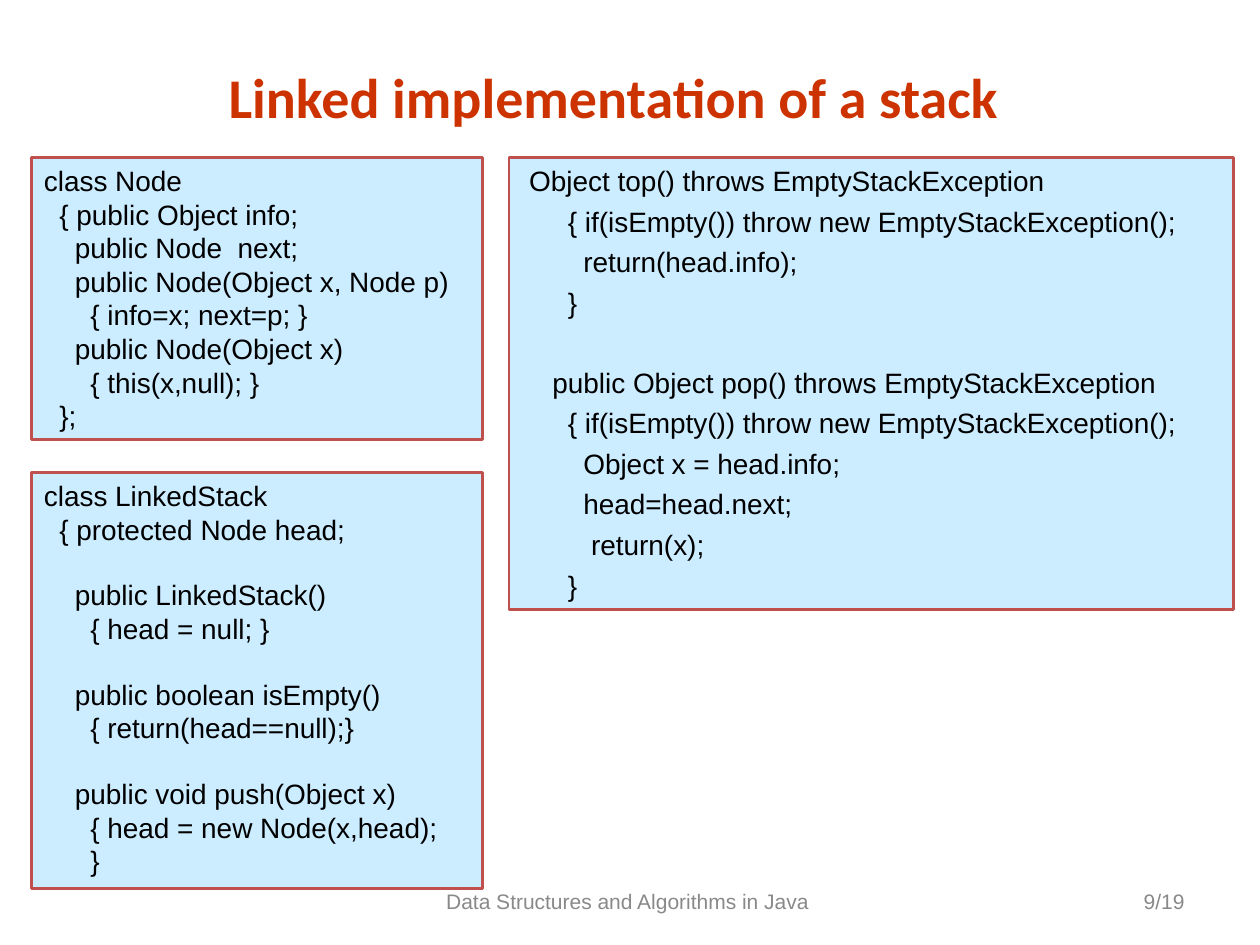
from pptx import Presentation
from pptx.dml.color import RGBColor
from pptx.enum.shapes import MSO_SHAPE
from pptx.enum.text import MSO_ANCHOR, PP_ALIGN
from pptx.util import Inches, Pt

CODE_SIZE = 16
CODE_LINE_HEIGHT = 18.4
HANGING_INDENT = Inches(0.35)

NODE_CODE = """\
class Node
  { public Object info;
    public Node  next;
    public Node(Object x, Node p)
      { info=x; next=p; }
    public Node(Object x)
      { this(x,null); }
  };"""

LINKED_STACK_CODE = """\
class LinkedStack
  { protected Node head;

    public LinkedStack()
      { head = null; }

    public boolean isEmpty()
      { return(head==null);}

    public void push(Object x)
      { head = new Node(x,head);
      }"""

TOP_AND_POP_CODE = """\
 Object top() throws EmptyStackException
      { if(isEmpty()) throw new EmptyStackException();
        return(head.info);
      }

    public Object pop() throws EmptyStackException
      { if(isEmpty()) throw new EmptyStackException();
        Object x = head.info;
        head=head.next;
         return(x);
      }"""


def color(hex_string):
    return RGBColor.from_string(hex_string)


def format_font(font, name, size, hex_string, bold=False):
    font.name = name
    font.size = Pt(size)
    font.bold = bold
    font.color.rgb = color(hex_string)


def add_label(slide, box, text, alignment, font_name, size, hex_string, bold=False):
    shape = slide.shapes.add_textbox(*map(Inches, box))
    text_frame = shape.text_frame
    text_frame.word_wrap = True
    text_frame.vertical_anchor = MSO_ANCHOR.MIDDLE
    text_frame.text = text
    paragraph = text_frame.paragraphs[0]
    paragraph.alignment = alignment
    format_font(paragraph.runs[0].font, font_name, size, hex_string, bold)


def add_code_box(slide, box, code, spacing=0):
    """Draw a listing; an empty code line becomes space before the next line."""
    shape = slide.shapes.add_shape(MSO_SHAPE.RECTANGLE, *map(Inches, box))
    shape.shadow.inherit = False
    shape.fill.solid()
    shape.fill.fore_color.rgb = color("CCECFF")
    shape.line.color.rgb = color("C0504D")
    shape.line.width = Pt(1.5)

    text_frame = shape.text_frame
    text_frame.word_wrap = True
    text_frame.vertical_anchor = MSO_ANCHOR.TOP
    space_before = 0
    for number, line in enumerate(code.splitlines()):
        if not line:
            space_before += CODE_LINE_HEIGHT + spacing
            continue
        paragraph = text_frame.add_paragraph() if number else text_frame.paragraphs[0]
        paragraph.text = line
        paragraph.alignment = PP_ALIGN.LEFT
        paragraph.space_before = Pt(space_before)
        properties = paragraph._p.get_or_add_pPr()
        properties.set("marL", str(HANGING_INDENT))
        properties.set("indent", str(-HANGING_INDENT))
        format_font(paragraph.runs[0].font, "Arial", CODE_SIZE, "000000")
        space_before = spacing


def main():
    presentation = Presentation()
    presentation.slide_width = Inches(10)
    presentation.slide_height = Inches(7.5)
    slide = presentation.slides.add_slide(presentation.slide_layouts[6])

    add_label(slide, (3.17, 6.95, 3.67, 0.4), "Data Structures and Algorithms in Java ",
              PP_ALIGN.CENTER, "Arial", 12, "898989")
    add_label(slide, (7.17, 6.95, 2.33, 0.4), "9/19",
              PP_ALIGN.RIGHT, "Arial", 12, "898989")
    add_label(slide, (0.33, 0.45, 9.08, 0.63), "Linked implementation of a stack",
              PP_ALIGN.CENTER, "Calibri", 32, "CC3300", bold=True)

    add_code_box(slide, (0.25, 1.25, 3.58, 2.24), NODE_CODE)
    add_code_box(slide, (0.25, 3.75, 3.58, 3.3), LINKED_STACK_CODE)
    add_code_box(slide, (4.04, 1.25, 5.75, 3.59), TOP_AND_POP_CODE, spacing=4)

    presentation.save("out.pptx")


if __name__ == "__main__":
    main()
